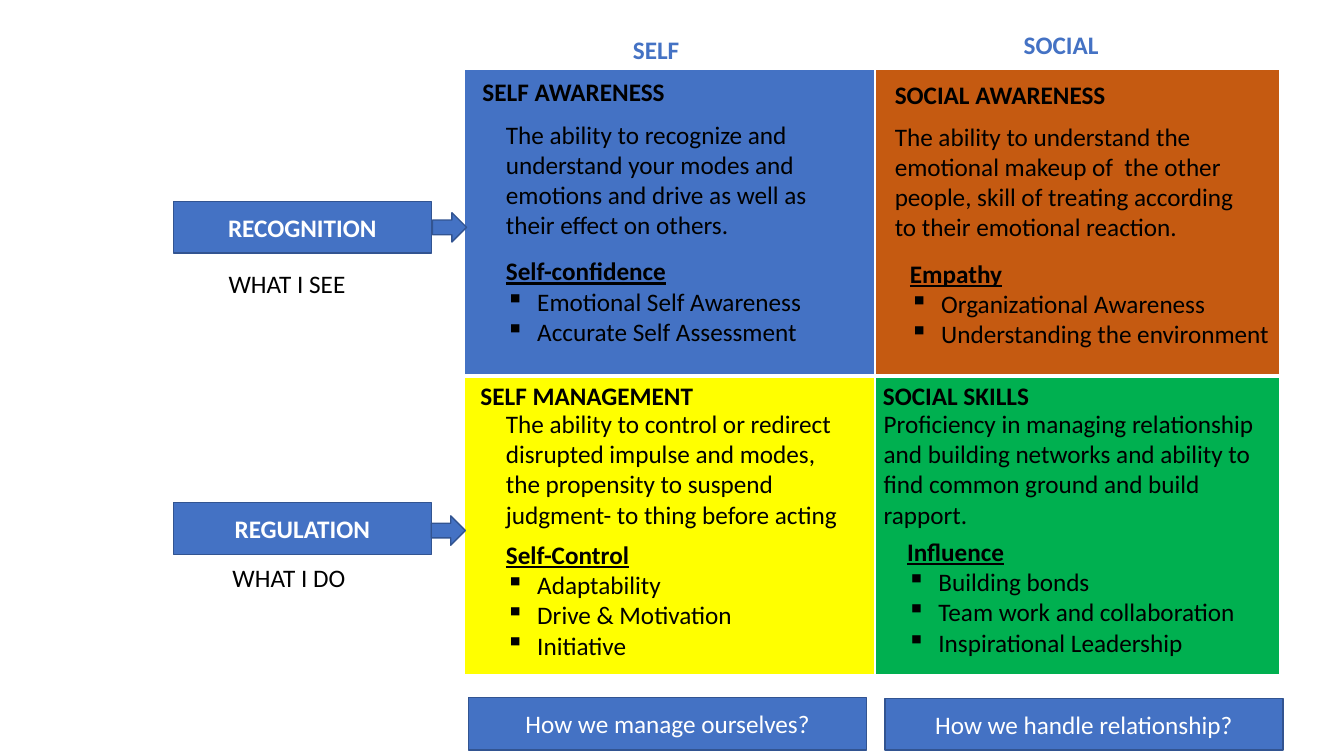
from lxml import etree
from pptx import Presentation
from pptx.dml.color import RGBColor
from pptx.enum import shapes, text
from pptx.oxml import ns
from pptx.util import Cm, Pt

BLUE, DARK_BLUE, ORANGE = "4472C4", "325491", "C55A11"
YELLOW, GREEN = "FFFF00", "00B050"
BLACK, WHITE = "000000", "FFFFFF"
INDENT = Cm(0.79)

# Boxes are (left, top, width, height) in centimetres.
LABELS = [
    ("WHAT I SEE", (5.51, 6.63, 3.48, 1.02), {}),
    ("WHAT I DO", (5.61, 14.05, 3.38, 1.02), {}),
    ("SELF", (15.7, 0.74, 1.83, 1.02), {"bold": True, "color": BLUE}),
    ("SOCIAL", (25.55, 0.61, 2.57, 1.02), {"bold": True, "color": BLUE}),
    ("SELF AWARENESS", (11.91, 1.8, 5.16, 1.02), {"bold": True}),
    ("SOCIAL AWARENESS", (22.3, 1.88, 5.87, 1.02), {"bold": True}),
    ("SELF MANAGEMENT", (11.86, 9.45, 5.92, 1.02), {"bold": True}),
]

DEFINITIONS = [
    ((12.5, 2.87, 9.32, 3.33),
     ["The ability to recognize and", "understand your modes and",
      "emotions and drive as well as", "their effect on others."]),
    ((22.3, 2.92, 9.65, 3.33),
     ["The ability to understand the", "emotional makeup of  the other",
      "people, skill of treating according", "to their emotional reaction."]),
    ((12.5, 10.16, 9.32, 3.33),
     ["The ability to control or redirect", "disrupted impulse and modes,",
      "the propensity to suspend", "judgment- to thing before acting"]),
    ((22.02, 10.16, 10.06, 3.33),
     ["Proficiency in managing relationship and building networks "
      "and ability to find common ground and build rapport."]),
]

COMPETENCIES = [
    ((12.5, 6.32, 9.32, 2.57), "Self-confidence",
     ["Emotional Self Awareness", "Accurate Self Assessment"]),
    ((22.68, 6.38, 9.83, 2.57), "Empathy",
     ["Organizational Awareness", "Understanding the environment"]),
    ((12.5, 13.46, 9.32, 3.33), "Self-Control",
     ["Adaptability", "Drive & Motivation", "Initiative"]),
    ((22.61, 13.39, 9.32, 3.33), "Influence",
     ["Building bonds", "Team work and collaboration", "Inspirational Leadership"]),
]

BUTTONS = [
    ("RECOGNITION", (4.37, 5.08, 6.5, 1.3), True),
    ("REGULATION", (4.37, 12.67, 6.5, 1.3), True),
    ("How we manage ourselves?", (11.81, 17.58, 10.03, 1.32), False),
    ("How we handle relationship?", (22.3, 17.6, 10.03, 1.3), False),
]

ARROWS = [(10.9, 5.36, 0.86, 0.74), (10.87, 13, 0.86, 0.74)]


def rgb(value):
    return RGBColor.from_string(value)


def lengths(box):
    return [Cm(value) for value in box]


def write_line(paragraph, line, color=BLACK, **formats):
    run = paragraph.add_run()
    run.text = line
    run.font.color.rgb = rgb(color)
    for name, value in {"name": "Calibri", "size": Pt(18), **formats}.items():
        setattr(run.font, name, value)


def add_bullet(paragraph):
    properties = paragraph._p.get_or_add_pPr()
    properties.set("marL", str(INDENT))
    properties.set("indent", str(-INDENT))
    etree.SubElement(properties, ns.qn("a:buChar")).set("char", "▪")


def add_text(slide, box, lines, wrap=True, **formats):
    """Add a text box with one paragraph per line and return its paragraphs."""
    frame = slide.shapes.add_textbox(*lengths(box)).text_frame
    frame.word_wrap = wrap
    frame.auto_size = text.MSO_AUTO_SIZE.SHAPE_TO_FIT_TEXT
    for index, line in enumerate(lines):
        paragraph = frame.add_paragraph() if index else frame.paragraphs[0]
        write_line(paragraph, line, **formats)
    return frame.paragraphs


def add_competency(slide, box, heading, items):
    paragraphs = add_text(slide, box, [heading, *items])
    font = paragraphs[0].runs[0].font
    font.bold = font.underline = True
    for paragraph in paragraphs[1:]:
        add_bullet(paragraph)


def add_blue_shape(slide, kind, box):
    shape = slide.shapes.add_shape(kind, *lengths(box))
    shape.shadow.inherit = False
    shape.fill.solid()
    shape.fill.fore_color.rgb = rgb(BLUE)
    shape.line.color.rgb = rgb(DARK_BLUE)
    shape.line.width = Pt(1)
    return shape


def add_button(slide, label, box, bold):
    shape = add_blue_shape(slide, shapes.MSO_SHAPE.RECTANGLE, box)
    frame = shape.text_frame
    frame.vertical_anchor = text.MSO_ANCHOR.MIDDLE
    paragraph = frame.paragraphs[0]
    paragraph.alignment = text.PP_ALIGN.CENTER
    write_line(paragraph, label, WHITE, bold=bold)


def set_borders(cell, widths):
    properties = cell._tc.get_or_add_tcPr()
    for side, width in widths.items():
        line = etree.SubElement(properties, ns.qn(f"a:ln{side}"), w=str(Pt(width)))
        fill = etree.SubElement(line, ns.qn("a:solidFill"))
        etree.SubElement(fill, ns.qn("a:srgbClr"), val=WHITE)


def add_quadrants(slide, box, colors, widths, heights):
    table = slide.shapes.add_table(2, 2, *lengths(box)).table
    table.first_row = table.horz_banding = False
    for column, width in zip(table.columns, widths):
        column.width = Cm(width)
    for row, height in zip(table.rows, heights):
        row.height = Cm(height)
    for index, color in enumerate(colors):
        row, column = divmod(index, 2)
        cell = table.cell(row, column)
        set_borders(cell, {"L": 1, "R": 1, "T": 3 if row else 1, "B": 1 if row else 3})
        cell.fill.solid()
        cell.fill.fore_color.rgb = rgb(color)


def main():
    presentation = Presentation()
    presentation.slide_width, presentation.slide_height = Cm(33.87), Cm(19.05)
    slide = presentation.slides.add_slide(presentation.slide_layouts[6])

    add_quadrants(slide, (11.71, 1.75, 20.53, 15.24),
                  [BLUE, ORANGE, YELLOW, GREEN], [10.34, 10.19], [7.72, 7.52])
    for label, box, formats in LABELS:
        add_text(slide, box, [label], wrap=False, **formats)
    add_text(slide, (22, 9.47, 5.92, 1.02), ["SOCIAL SKILLS"], bold=True)
    for box, lines in DEFINITIONS:
        add_text(slide, box, lines)
    for box, heading, items in COMPETENCIES:
        add_competency(slide, box, heading, items)
    for label, box, bold in BUTTONS:
        add_button(slide, label, box, bold)
    for box in ARROWS:
        add_blue_shape(slide, shapes.MSO_SHAPE.RIGHT_ARROW, box)

    presentation.save("out.pptx")


if __name__ == "__main__":
    main()
